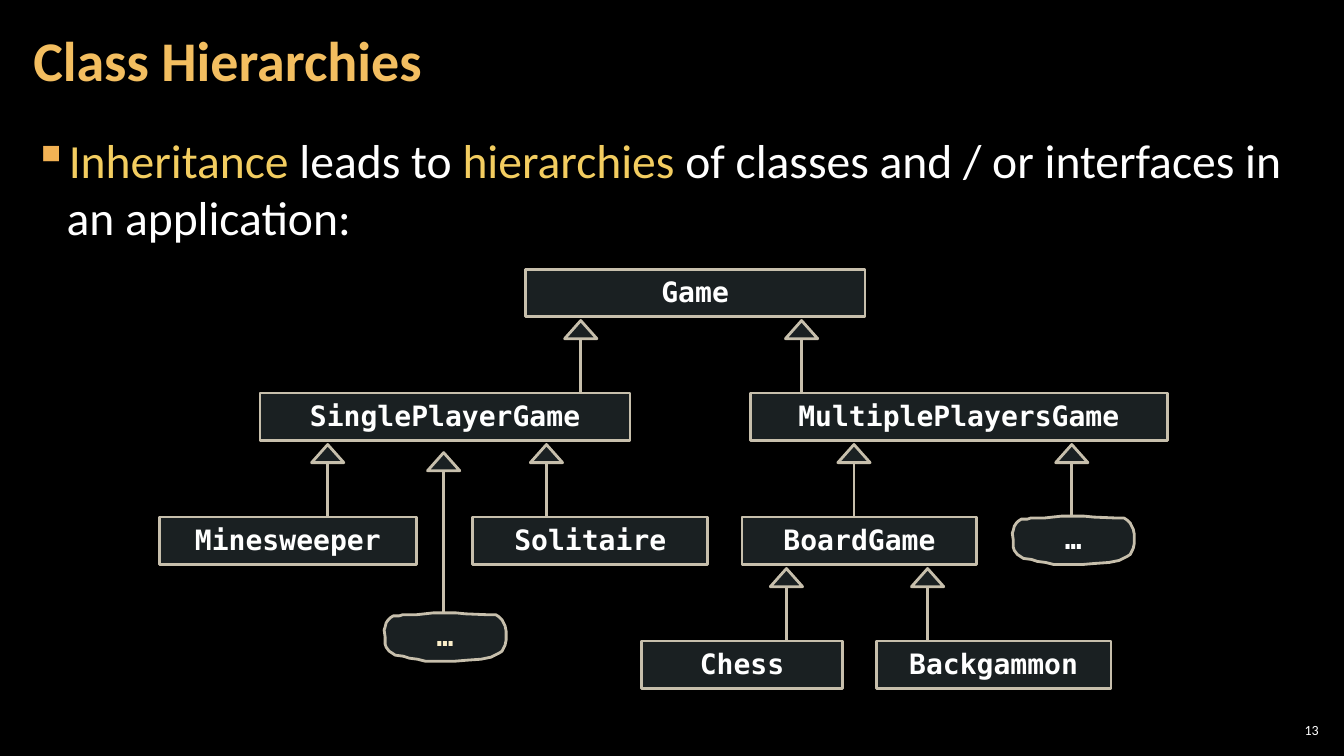
"""Build the Class Hierarchies slide with its inheritance diagram."""
from dataclasses import dataclass

from lxml import etree
from pptx import Presentation
from pptx.dml.color import RGBColor
from pptx.enum.shapes import MSO_CONNECTOR, MSO_SHAPE
from pptx.enum.text import MSO_ANCHOR, MSO_AUTO_SIZE, PP_ALIGN
from pptx.oxml.ns import qn
from pptx.util import Inches, Pt

RECTANGLE = MSO_SHAPE.RECTANGLE
TRIANGLE = MSO_SHAPE.ISOSCELES_TRIANGLE
STRAIGHT = MSO_CONNECTOR.STRAIGHT
MIDDLE = MSO_ANCHOR.MIDDLE
NO_AUTOFIT = MSO_AUTO_SIZE.NONE
LEFT, CENTER, RIGHT = PP_ALIGN.LEFT, PP_ALIGN.CENTER, PP_ALIGN.RIGHT


@dataclass(frozen=True)
class Theme:
    background: str = "000000"
    title: str = "F3BE60"
    highlight: str = "F3CD60"
    bullet: str = "F2B254"
    text: str = "FFFFFF"
    pale_text: str = "FBEEC9"
    class_fill: str = "B5DBE5"
    class_fill_alpha: int = 15000
    outline: str = "C7BFAC"
    outline_width: int = 2
    body_font: str = "Calibri"
    code_font: str = "DejaVu Sans Mono"
    title_size: int = 40
    body_size: int = 34
    class_size: int = 20
    number_size: int = 10


@dataclass(frozen=True)
class ClassBox:
    name: str
    left: float
    level: int
    width: float


@dataclass(frozen=True)
class Ellipsis:
    left: float
    top: float
    color: str


@dataclass(frozen=True)
class Arrow:
    x: float
    tip: float
    end: float


THEME = Theme()
FIRST_LEVEL, LEVEL_STEP, BOX_HEIGHT = 2.67, 1.23, 0.47
HEAD_WIDTH, HEAD_HEIGHT, TIP_GAP = 0.32, 0.18, 0.04


def level_top(level: int) -> float:
    return FIRST_LEVEL + level * LEVEL_STEP


def level_arrow(x: float, parent_level: int) -> Arrow:
    tip = level_top(parent_level) + BOX_HEIGHT + TIP_GAP
    return Arrow(x, tip, level_top(parent_level + 1))


CLASSES = (
    ClassBox("Game", 5.21, 0, 3.37),
    ClassBox("SinglePlayerGame", 2.58, 1, 3.67),
    ClassBox("MultiplePlayersGame", 7.44, 1, 4.14),
    ClassBox("Minesweeper", 1.58, 2, 2.55),
    ClassBox("Solitaire", 4.69, 2, 2.33),
    ClassBox("BoardGame", 7.36, 2, 2.33),
    ClassBox("Chess", 6.36, 3, 2),
    ClassBox("Backgammon", 8.69, 3, 2.33),
)
ELLIPSES = (Ellipsis(10.04, 5.12, THEME.text), Ellipsis(3.81, 6.08, THEME.pale_text))
ARROWS = (
    *(level_arrow(x, 0) for x in (5.76, 7.95)),
    *(level_arrow(x, 1) for x in (3.25, 5.42, 8.47, 10.63)),
    *(level_arrow(x, 2) for x in (7.8, 9.2)),
    Arrow(4.4, 4.49, 6.08),
)
ELLIPSIS_OUTLINE = (
    (0, 0.17), (0.01, 0.14), (0.02, 0.1), (0.04, 0.07), (0.06, 0.05), (0.09, 0.03),
    (0.15, 0.03), (0.18, 0.02), (0.31, 0.02), (0.4, 0.01), (0.49, 0), (0.71, 0),
    (0.81, 0.01), (1.05, 0.02), (1.11, 0.02), (1.14, 0.04), (1.17, 0.07), (1.2, 0.13),
    (1.21, 0.18), (1.21, 0.27), (1.2, 0.32), (1.17, 0.38), (1.14, 0.4), (1.1, 0.42),
    (1.06, 0.44), (0.96, 0.46), (0.82, 0.47), (0.7, 0.48), (0.41, 0.48), (0.33, 0.46),
    (0.25, 0.45), (0.19, 0.43), (0.11, 0.42), (0.08, 0.4), (0.05, 0.38), (0.02, 0.34),
    (0.01, 0.31), (0.01, 0.24),
)


def rgb(color: str) -> RGBColor:
    return RGBColor.from_string(color)


def set_font(target, family: str, size: int, color: str | None = None, bold: bool = False) -> None:
    target.font.name = family
    target.font.size = Pt(size)
    target.font.bold = bold
    if color:
        target.font.color.rgb = rgb(color)


def set_frame(frame, side: float, anchor=None) -> None:
    frame.word_wrap = True
    frame.auto_size = NO_AUTOFIT
    frame.margin_left = frame.margin_right = Inches(side)
    frame.margin_top = frame.margin_bottom = Inches(0.04)
    if anchor is not None:
        frame.vertical_anchor = anchor


def style_outline(line) -> None:
    line.color.rgb = rgb(THEME.outline)
    line.width = Pt(THEME.outline_width)


def style_shape(shape) -> None:
    shape.shadow.inherit = False
    shape.fill.solid()
    shape.fill.fore_color.rgb = rgb(THEME.class_fill)
    color = shape.fill._xPr.find(qn("a:solidFill"))[0]
    etree.SubElement(color, qn("a:alpha"), val=str(THEME.class_fill_alpha))
    style_outline(shape.line)


def write_label(shape, label: str, color: str) -> None:
    frame = shape.text_frame
    frame.word_wrap = False
    frame.vertical_anchor = MIDDLE
    paragraph = frame.paragraphs[0]
    paragraph.text = label
    paragraph.alignment = CENTER
    paragraph.line_spacing = 0.95
    set_font(paragraph, THEME.code_font, THEME.class_size, color, True)


def add_class(slide, box: ClassBox) -> None:
    shape = slide.shapes.add_shape(RECTANGLE, Inches(box.left), Inches(level_top(box.level)),
                                   Inches(box.width), Inches(BOX_HEIGHT))
    style_shape(shape)
    write_label(shape, box.name, THEME.text)


def add_ellipsis(slide, ellipsis: Ellipsis) -> None:
    outline = [(Inches(ellipsis.left + x), Inches(ellipsis.top + y)) for x, y in ELLIPSIS_OUTLINE]
    builder = slide.shapes.build_freeform(*outline[0])
    builder.add_line_segments(outline[1:], close=True)
    shape = builder.convert_to_shape()
    style_shape(shape)
    write_label(shape, "…", ellipsis.color)


def add_arrow(slide, arrow: Arrow) -> None:
    head = slide.shapes.add_shape(TRIANGLE, Inches(arrow.x - HEAD_WIDTH / 2), Inches(arrow.tip),
                                  Inches(HEAD_WIDTH), Inches(HEAD_HEIGHT))
    style_shape(head)
    stem = slide.shapes.add_connector(STRAIGHT, Inches(arrow.x), Inches(arrow.tip + HEAD_HEIGHT),
                                      Inches(arrow.x), Inches(arrow.end))
    style_outline(stem.line)
    etree.SubElement(stem._element.spPr, qn("a:effectLst"))


def add_title(slide) -> None:
    title = slide.shapes.title
    title.left, title.top, title.width, title.height = map(Inches, (0.21, 0.04, 10.47, 1.21))
    set_frame(title.text_frame, 0.12, MIDDLE)
    paragraph = title.text_frame.paragraphs[0]
    paragraph.text = "Class Hierarchies"
    paragraph.alignment = LEFT
    paragraph.line_spacing = Pt(40)
    set_font(paragraph, THEME.body_font, THEME.title_size, THEME.title, True)


def add_statement(slide) -> None:
    statement = slide.shapes.add_textbox(*map(Inches, (0.21, 1.26, 12.91, 6.09)))
    set_frame(statement.text_frame, 0.12)
    paragraph = statement.text_frame.paragraphs[0]
    paragraph.space_after = Pt(6)
    properties = paragraph._p.get_or_add_pPr()
    properties.set("marL", str(Inches(0.33)))
    properties.set("indent", str(-Inches(0.33)))
    bullet_color = etree.SubElement(properties, qn("a:buClr"))
    etree.SubElement(bullet_color, qn("a:srgbClr"), val=THEME.bullet)
    etree.SubElement(properties, qn("a:buChar"), char="▪")
    set_font(paragraph, THEME.body_font, THEME.body_size)
    for words, color in (("Inheritance", THEME.highlight), (" leads to ", THEME.text),
                         ("hierarchies ", THEME.highlight),
                         ("of classes and / or interfaces in an application:", THEME.text)):
        run = paragraph.add_run()
        run.text = words
        run.font.color.rgb = rgb(color)


def add_page_number(slide) -> None:
    number = slide.shapes.add_textbox(*map(Inches, (12.65, 7.14, 0.47, 0.21)))
    set_frame(number.text_frame, 0.04, MIDDLE)
    paragraph = number.text_frame.paragraphs[0]
    paragraph.text = "13"
    paragraph.alignment = RIGHT
    set_font(paragraph, THEME.body_font, THEME.number_size, THEME.text)


def main() -> None:
    deck = Presentation()
    deck.slide_width, deck.slide_height = Inches(13.33), Inches(7.5)
    slide = deck.slides.add_slide(deck.slide_layouts.get_by_name("Title Only"))
    slide.background.fill.solid()
    slide.background.fill.fore_color.rgb = rgb(THEME.background)
    add_title(slide)
    add_statement(slide)
    for box in CLASSES:
        add_class(slide, box)
    for arrow in ARROWS:
        add_arrow(slide, arrow)
    for ellipsis in ELLIPSES:
        add_ellipsis(slide, ellipsis)
    add_page_number(slide)
    deck.save("out.pptx")


if __name__ == "__main__":
    main()
